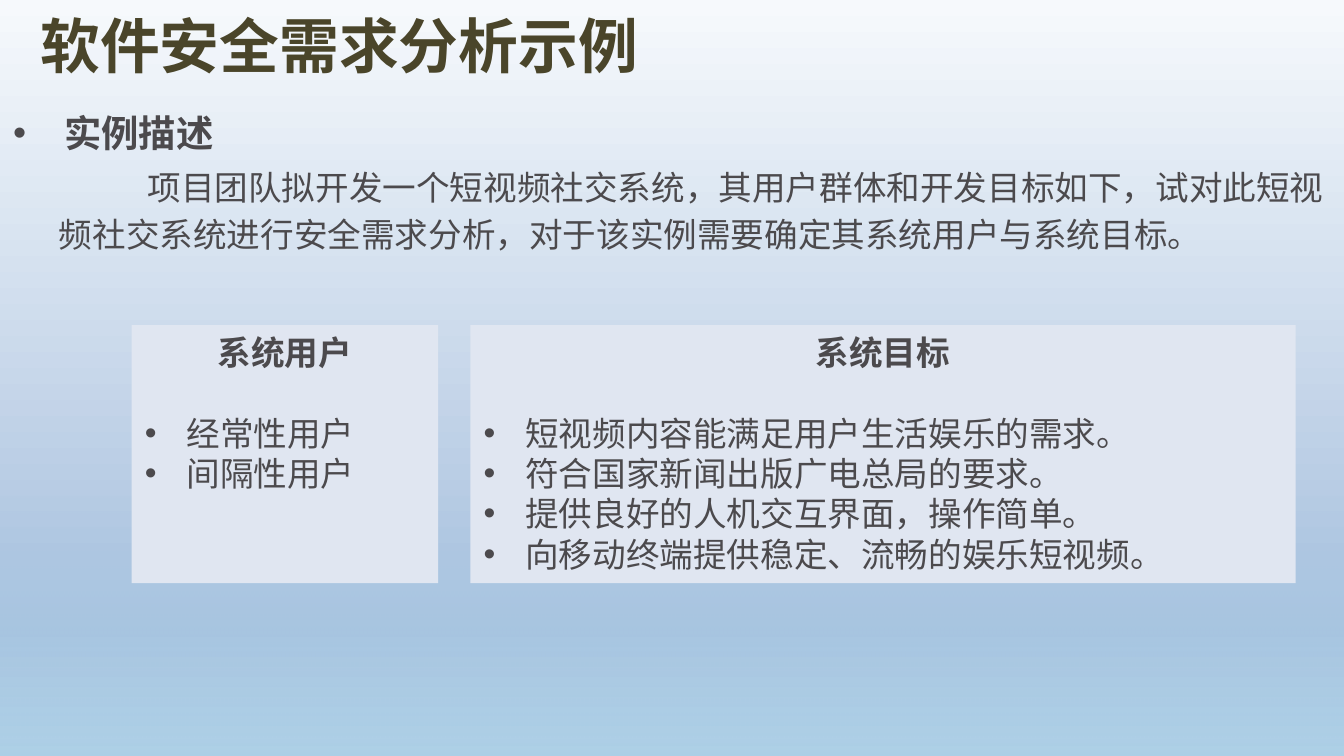
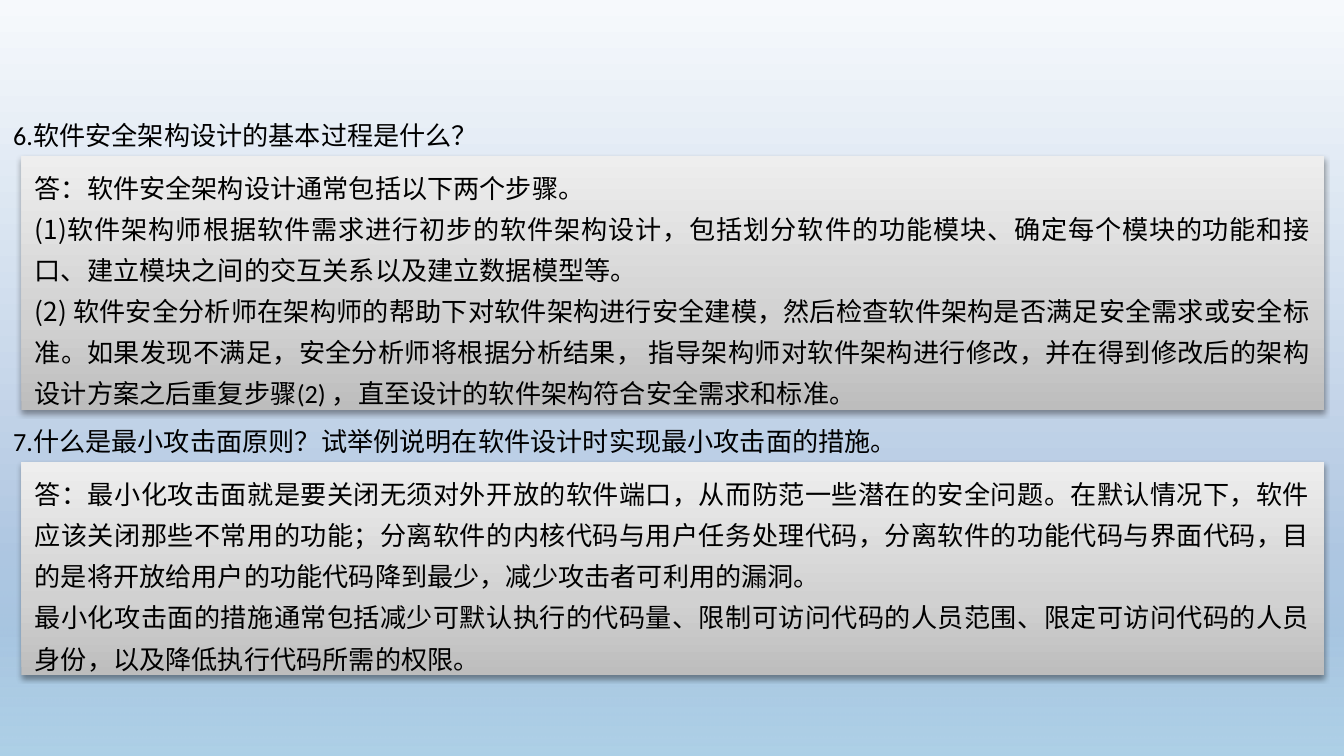
from lxml.etree import SubElement
from pptx import Presentation
from pptx.dml.color import RGBColor
from pptx.enum.shapes import MSO_SHAPE
from pptx.enum.text import MSO_ANCHOR, MSO_AUTO_SIZE, PP_ALIGN
from pptx.oxml.ns import qn
from pptx.util import Inches, Pt

COLOURS = {
    "title": "4A452A",
    "body": "4C4A4D",
    "answer": "000000",
    "panel": "E0E6F1",
    "shadow": "000000",
}
SKY = [(0, "F6F9FC", 100), (74, "B0C6E1", 100), (83, "B0C6E1", 100), (100, "CAD9EB", 100)]
HORIZON = [(0, "FFFFFF", 0), (100, "0099CC", 15)]
SILVER = [(0, "BDBDBD", 100), (35, "D1D1D1", 100), (100, "EEEEEE", 100)]
CHINESE_FONT = "Noto Sans CJK SC"

TITLE = {"size": 32, "bold": True, "colour": "title", "line": 38.4}
HEADING = {"size": 20, "bold": True, "colour": "body", "line": 24, "bullet": 0.38}
DESCRIPTION = {"size": 18, "colour": "body", "line": 25.2, "before": 3,
               "left": 0.34, "first": 0.66}
PANEL_HEADING = {"size": 18, "bold": True, "colour": "body", "line": 21.6,
                 "after": 21.6, "align": PP_ALIGN.CENTER}
PANEL_ITEM = {"size": 18, "colour": "body", "line": 21.6, "bullet": 0.31}
ANSWER = {"size": 14, "colour": "answer", "line": 22, "font": "Calibri",
          "align": PP_ALIGN.JUSTIFY}

PANELS = [
    (0.98, 2.28, "系统用户", ["经常性用户", "间隔性用户"]),
    (3.5, 6.14, "系统目标", [
        "短视频内容能满足用户生活娱乐的需求。",
        "符合国家新闻出版广电总局的要求。",
        "提供良好的人机交互界面，操作简单。",
        "向移动终端提供稳定、流畅的娱乐短视频。",
    ]),
]
EXERCISES = [
    (0.77, 5.11, 1.16, 1.89, "6.软件安全架构设计的基本过程是什么？", [
        ("", "答：软件安全架构设计通常包括以下两个步骤。"),
        ("(1)", "软件架构师根据软件需求进行初步的软件架构设计，包括划分软件的功能模块、"
                "确定每个模块的功能和接口、建立模块之间的交互关系以及建立数据模型等。"),
        ("(2) ", "软件安全分析师在架构师的帮助下对软件架构进行安全建模，然后检查软件架构"
                 "是否满足安全需求或安全标准。如果发现不满足，安全分析师将根据分析结果， "
                 "指导架构师对软件架构进行修改，并在得到修改后的架构设计方案之后重复步骤(2) ，"
                 "直至设计的软件架构符合安全需求和标准。"),
    ]),
    (3.04, 10, 3.44, 1.58, "7.什么是最小攻击面原则？试举例说明在软件设计时实现最小攻击面的措施。", [
        ("", "答：最小化攻击面就是要关闭无须对外开放的软件端口，从而防范一些潜在的安全问题。"
             "在默认情况下，软件应该关闭那些不常用的功能；分离软件的内核代码与用户任务处理代码，"
             "分离软件的功能代码与界面代码，目的是将开放给用户的功能代码降到最少，"
             "减少攻击者可利用的漏洞。"),
        ("", "最小化攻击面的措施通常包括减少可默认执行的代码量、限制可访问代码的人员范围、"
             "限定可访问代码的人员身份，以及降低执行代码所需的权限。"),
    ]),
]


def add_colour(parent, colour, opacity):
    element = SubElement(parent, qn("a:srgbClr"), val=colour)
    if opacity < 100:
        SubElement(element, qn("a:alpha"), val=str(opacity * 1000))


def set_gradient(fill, stops, angle):
    fill.gradient()
    fill.gradient_angle = angle
    stop_list = fill._xPr.find(qn("a:gradFill")).find(qn("a:gsLst"))
    stop_list.clear()
    for position, colour, opacity in stops:
        stop = SubElement(stop_list, qn("a:gs"), pos=str(position * 1000))
        add_colour(stop, colour, opacity)


def add_shadow(shape):
    effects = shape._element.spPr.find(qn("a:effectLst"))
    shadow = SubElement(effects, qn("a:outerShdw"), blurRad=str(Pt(3.1)),
                        dist=str(Pt(1.6)), dir="5400000", rotWithShape="0")
    add_colour(shadow, COLOURS["shadow"], 38)


def set_frame(shape, anchor=MSO_ANCHOR.TOP):
    values = {"word_wrap": True, "auto_size": MSO_AUTO_SIZE.NONE, "vertical_anchor": anchor}
    for name, value in values.items():
        setattr(shape.text_frame, name, value)
    return shape.text_frame


def add_rectangle(shapes, box):
    shape = shapes.add_shape(MSO_SHAPE.RECTANGLE, *map(Inches, box))
    shape.shadow.inherit = False
    shape.line.fill.background()
    return shape


def add_run(paragraph, text, style, font):
    run = paragraph.add_run()
    run.text = text
    values = {"name": font, "size": Pt(style["size"]), "bold": style.get("bold", False)}
    for name, value in values.items():
        setattr(run.font, name, value)
    run.font.color.rgb = RGBColor.from_string(COLOURS[style["colour"]])
    SubElement(run._r.get_or_add_rPr(), qn("a:ea"), typeface=CHINESE_FONT)


def write(frame, lines, style):
    for line in lines:
        marker, text = line if isinstance(line, tuple) else ("", line)
        paragraph = frame.paragraphs[0] if not frame.text else frame.add_paragraph()
        values = {
            "alignment": style.get("align", PP_ALIGN.LEFT),
            "line_spacing": Pt(style["line"]),
            "space_before": Pt(style.get("before", 0)),
            "space_after": Pt(style.get("after", 0)),
        }
        for name, value in values.items():
            setattr(paragraph, name, value)
        properties = paragraph._p.get_or_add_pPr()
        bullet = style.get("bullet", 0)
        properties.set("marL", str(Inches(style.get("left", bullet))))
        properties.set("indent", str(Inches(style.get("first", -bullet))))
        properties.set("hangingPunct", "0")
        if bullet:
            SubElement(properties, qn("a:buFont"), typeface="Arial")
            SubElement(properties, qn("a:buChar"), char="•")
        if marker:
            add_run(paragraph, marker, style, CHINESE_FONT)
        add_run(paragraph, text, style, style.get("font", CHINESE_FONT))


def add_text(slide, box, lines, style):
    shape = slide.shapes.add_textbox(*map(Inches, box))
    frame = set_frame(shape)
    write(frame, lines, style)
    return frame


def decorate_master(presentation, slide):
    master = presentation.slide_master
    set_gradient(master.background.fill, SKY, 270)
    band = add_rectangle(slide.shapes, (0, 2.92, 10, 2.7))
    set_gradient(band.fill, HORIZON, 270)
    band._element.nvSpPr.cNvPr.set("id", "100")
    master.shapes._spTree.insert(2, band._element)


def place_title(slide, box, text):
    title = slide.shapes.title
    for name, value in zip(("left", "top", "width", "height"), box):
        setattr(title, name, Inches(value))
    write(set_frame(title, MSO_ANCHOR.MIDDLE), [text], TITLE)


def add_panel(slide, box, heading, items):
    panel = add_rectangle(slide.shapes, box)
    panel.fill.solid()
    panel.fill.fore_color.rgb = RGBColor.from_string(COLOURS["panel"])
    frame = set_frame(panel)
    write(frame, [heading], PANEL_HEADING)
    write(frame, items, PANEL_ITEM)


def add_answer(slide, box, lines):
    answer = add_rectangle(slide.shapes, box)
    set_gradient(answer.fill, SILVER, 90)
    add_shadow(answer)
    write(set_frame(answer), lines, ANSWER)


def fill_example_slide(slide):
    place_title(slide, (0.2, 0.01, 4.84, 0.64), "软件安全需求分析示例")
    frame = add_text(slide, (0, 0.77, 10, 4.96), ["实例描述"], HEADING)
    write(frame, ["项目团队拟开发一个短视频社交系统，其用户群体和开发目标如下，"
                  "试对此短视频社交系统进行安全需求分析，"
                  "对于该实例需要确定其系统用户与系统目标。"], DESCRIPTION)
    for left, width, heading, items in PANELS:
        add_panel(slide, (left, 2.42, width, 1.92), heading, items)


def fill_exercise_slide(slide):
    for question_top, question_width, answer_top, height, question, answer in EXERCISES:
        add_text(slide, (0, question_top, question_width, 0.39), [question], ANSWER)
        add_answer(slide, (0.16, answer_top, 9.69, height), answer)


def main():
    presentation = Presentation()
    presentation.slide_width = Inches(10)
    presentation.slide_height = Inches(10 * 9 / 16)
    title_only, blank = presentation.slide_layouts[5], presentation.slide_layouts[6]
    example = presentation.slides.add_slide(title_only)
    decorate_master(presentation, example)
    fill_example_slide(example)
    fill_exercise_slide(presentation.slides.add_slide(blank))
    presentation.save("out.pptx")


if __name__ == "__main__":
    main()
